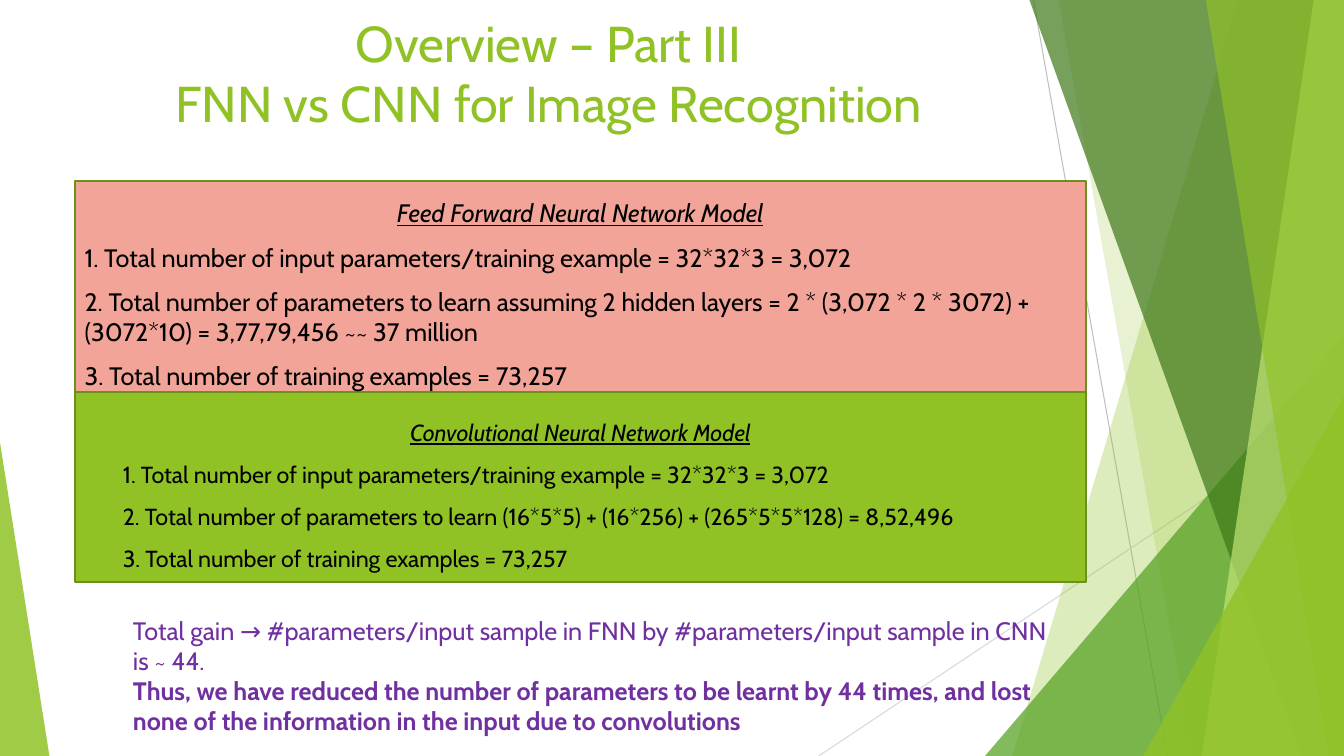
from dataclasses import dataclass

import pptx
import pptx.dml.color
import pptx.enum.shapes
import pptx.enum.text
import pptx.oxml.ns
import pptx.oxml.xmlchemy
import pptx.util

Inches = pptx.util.Inches
Align = pptx.enum.text.PP_ALIGN
SLIDE_W, SLIDE_H = 13.33, 7.5


@dataclass(frozen=True)
class Theme:
    font: str = "Cabin"
    green: str = "90C226"
    mid_green: str = "54A021"
    dark_green: str = "3F7819"
    light_green: str = "C0E474"
    border: str = "6B901C"
    pink: str = "F2A499"
    purple: str = "7030A0"
    black: str = "000000"
    dark_rule: str = "BFBFBF"
    light_rule: str = "D9D9D9"
    title_size: float = 36
    text_size: float = 18
    small_size: float = 16.6
    rule_width: float = 0.75
    border_width: float = 1.5


THEME = Theme()


@dataclass(frozen=True)
class Rule:
    start: tuple[float, float]
    end: tuple[float, float]
    color: str


@dataclass(frozen=True)
class Band:
    top_x: float
    bottom_x: float
    color: str
    opacity: int


@dataclass(frozen=True)
class Wedge:
    left: float
    top: float
    width: float
    apex: float
    color: str
    opacity: int


@dataclass(frozen=True)
class Line:
    text: str
    style: dict
    align: Align = Align.LEFT
    indent: float = 0
    gap: float = 0


@dataclass(frozen=True)
class Panel:
    top: float
    height: float
    fill: str
    inset: float
    heading: str
    facts: tuple[str, ...]
    size: float
    indent: float = 0


RULES = [
    Rule((10.25, 0), (11.58, SLIDE_H), THEME.dark_rule),
    Rule((SLIDE_W, 4.03), (8.12, SLIDE_H), THEME.light_rule),
]
FACETS = [
    Band(12.28, 10.04, THEME.green, 30),
    Band(10.5, 11.83, THEME.green, 20),
    Wedge(9.77, 3.33, 3.56, 1, THEME.mid_green, 72),
    Band(10.21, 12.91, THEME.dark_green, 70),
    Band(13.03, 11.92, THEME.light_green, 70),
    Band(11.96, 13.18, THEME.green, 65),
    Wedge(11.34, 3.93, 1.99, 1, THEME.green, 80),
    Wedge(0, 4.39, 0.49, 0, THEME.green, 85),
]
INPUTS = "1. Total number of input parameters/training example = 32*32*3 = 3,072"
EXAMPLES = "3. Total number of training examples = 73,257"
PANELS = [
    Panel(3.89, 1.88, THEME.green, 0.26, "Convolutional Neural Network Model", (
        INPUTS,
        "2. Total number of parameters to learn (16*5*5) + (16*256) + (265*5*5*128) = 8,52,496",
        EXAMPLES,
    ), THEME.small_size, 0.38),
    Panel(1.8, 2.09, THEME.pink, 0.16, "Feed Forward Neural Network Model", (
        INPUTS,
        "2. Total number of parameters to learn assuming 2 hidden layers = "
        "2 * (3,072 * 2 * 3072) + (3072*10) = 3,77,79,456 ~~ 37 million",
        EXAMPLES,
    ), THEME.text_size),
]


def rgb(color: str) -> pptx.dml.color.RGBColor:
    return pptx.dml.color.RGBColor.from_string(color)


def draw_rule(shapes, rule: Rule) -> None:
    ends = [Inches(v) for v in (*rule.start, *rule.end)]
    s = shapes.add_connector(pptx.enum.shapes.MSO_CONNECTOR.STRAIGHT, *ends)
    s.line.color.rgb = rgb(rule.color)
    s.line.width = pptx.util.Pt(THEME.rule_width)
    s._element.spPr.append(pptx.oxml.xmlchemy.OxmlElement("a:effectLst"))


def draw_facet(shapes, facet: Band | Wedge) -> None:
    if isinstance(facet, Band):
        corners = [(SLIDE_W, 0), (SLIDE_W, SLIDE_H), (facet.bottom_x, SLIDE_H)]
        builder = shapes.build_freeform(Inches(facet.top_x), 0)
        builder.add_line_segments([(Inches(x), Inches(y)) for x, y in corners])
        s = builder.convert_to_shape()
    else:
        box = (facet.left, facet.top, facet.width, SLIDE_H - facet.top)
        s = shapes.add_shape(pptx.enum.shapes.MSO_SHAPE.ISOSCELES_TRIANGLE, *map(Inches, box))
        s.adjustments[0] = facet.apex
    s.shadow.inherit = False
    s.line.fill.background()
    s.fill.solid()
    s.fill.fore_color.rgb = rgb(facet.color)
    alpha = pptx.oxml.xmlchemy.OxmlElement("a:alpha")
    alpha.set("val", str(facet.opacity * 1000))
    s._element.spPr.find(".//" + pptx.oxml.ns.qn("a:srgbClr")).append(alpha)


def write_lines(tf, lines: list[Line]) -> None:
    tf.word_wrap = True
    tf.vertical_anchor = pptx.enum.text.MSO_ANCHOR.TOP
    for i, line in enumerate(lines):
        p = tf.add_paragraph() if i else tf.paragraphs[0]
        p.text = line.text
        p.alignment = line.align
        p.space_before = pptx.util.Pt(line.gap)
        p._p.get_or_add_pPr().set("marL", str(Inches(line.indent)))
        for r in p.runs:
            r.font.name = THEME.font
            for name, value in line.style.items():
                if name == "color":
                    r.font.color.rgb = rgb(value)
                else:
                    setattr(r.font, name, value)


def draw_text(shapes, box: tuple[float, ...], lines: list[Line]) -> None:
    write_lines(shapes.add_textbox(*map(Inches, box)).text_frame, lines)


def draw_panel(shapes, panel: Panel) -> None:
    box = (0.74, panel.top, 10.03, panel.height)
    s = shapes.add_shape(pptx.enum.shapes.MSO_SHAPE.RECTANGLE, *map(Inches, box))
    s.shadow.inherit = False
    s.fill.solid()
    s.fill.fore_color.rgb = rgb(panel.fill)
    s.line.color.rgb = rgb(THEME.border)
    s.line.width = pptx.util.Pt(THEME.border_width)
    s.text_frame.margin_top = Inches(panel.inset)
    s.text_frame.margin_bottom = 0
    body = {"size": pptx.util.Pt(panel.size), "color": THEME.black}
    heading = body | {"italic": True, "underline": True}
    write_lines(s.text_frame, [
        Line(panel.heading, heading, Align.CENTER),
        *(Line(fact, body, indent=panel.indent, gap=10) for fact in panel.facts),
    ])


def main() -> None:
    prs = pptx.Presentation()
    prs.slide_width, prs.slide_height = Inches(SLIDE_W), Inches(SLIDE_H)
    shapes = prs.slides.add_slide(prs.slide_layouts[6]).shapes
    for rule in RULES:
        draw_rule(shapes, rule)
    for facet in FACETS:
        draw_facet(shapes, facet)
    title = {"size": pptx.util.Pt(THEME.title_size), "color": THEME.green}
    draw_text(shapes, (0.74, 0.07, 9.4, 1.44), [
        Line("Overview – Part III\vFNN vs CNN for Image Recognition", title, Align.CENTER),
    ])
    for panel in PANELS:
        draw_panel(shapes, panel)
    gain = {"size": pptx.util.Pt(THEME.text_size), "color": THEME.purple}
    draw_text(shapes, (1.22, 6.05, 9.35, 1.45), [
        Line("Total gain → #parameters/input sample in FNN by "
             "#parameters/input sample in CNN is ~ 44.", gain),
        Line("Thus, we have reduced the number of parameters to be learnt by 44 times, "
             "and lost none of the information in the input due to convolutions",
             gain | {"bold": True}),
    ])
    prs.save("out.pptx")


if __name__ == "__main__":
    main()
